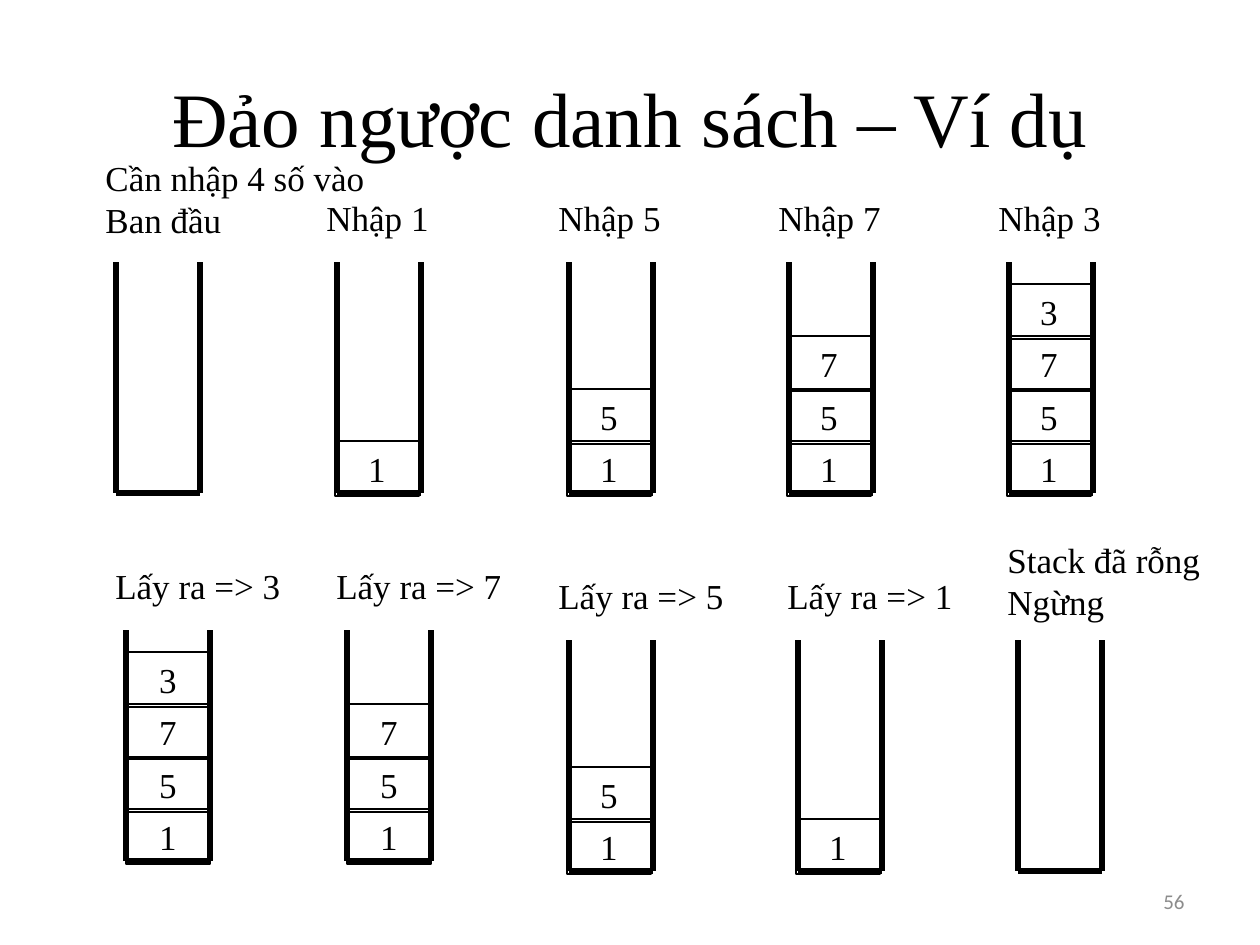
from dataclasses import dataclass

from lxml import etree
from pptx import Presentation
from pptx.dml.color import RGBColor
from pptx.enum.shapes import MSO_CONNECTOR, MSO_SHAPE
from pptx.enum.text import MSO_ANCHOR, PP_ALIGN
from pptx.oxml.ns import qn
from pptx.util import Pt

STRAIGHT = MSO_CONNECTOR.STRAIGHT
RECT = MSO_SHAPE.RECTANGLE
TOP, MIDDLE = MSO_ANCHOR.TOP, MSO_ANCHOR.MIDDLE
LEFT, CENTER, RIGHT = PP_ALIGN.LEFT, PP_ALIGN.CENTER, PP_ALIGN.RIGHT

PX = 914400 / 126
WALL_W, WALL_H = 84, 231
LABEL_DX, LABEL_H, LINE_H = -23, 55, 42
CELL_DY, CELL_H = 179, 55


@dataclass(frozen=True)
class Theme:
    ink: RGBColor = RGBColor(0, 0, 0)
    muted: RGBColor = RGBColor(0x8C, 0x8C, 0x8C)
    serif: str = "Times New Roman"
    sans: str = "Calibri"
    title: int = 44
    body: int = 20
    small: int = 12
    wall: float = 3
    border: float = 0.75


def emu(*lengths):
    return [round(n * PX) for n in lengths]


class StackSlide:
    """Draws stack diagrams on one slide in a single style."""

    def __init__(self, slide, theme):
        self.s = slide
        self.theme = theme

    def fill_text(self, sp, lines, size, align=LEFT, anchor=TOP, wrap=True, font=None, color=None):
        tf = sp.text_frame
        tf.word_wrap = wrap
        tf.vertical_anchor = anchor
        tf.text = "\n".join(lines)
        for p in tf.paragraphs:
            p.alignment = align
            p.font.size = Pt(size)
            p.font.name = font or self.theme.serif
            p.font.color.rgb = color or self.theme.ink

    def text(self, x, y, w, h, lines, size, **style):
        sp = self.s.shapes.add_textbox(*emu(x, y, w, h))
        self.fill_text(sp, lines, size, **style)

    def line(self, x1, y1, x2, y2):
        sp = self.s.shapes.add_connector(STRAIGHT, *emu(x1, y1, x2, y2))
        sp.line.color.rgb = self.theme.ink
        sp.line.width = Pt(self.theme.wall)
        etree.SubElement(sp._element.spPr, qn("a:effectLst"))

    def cell(self, x, y, value):
        sp = self.s.shapes.add_shape(RECT, *emu(x, y, WALL_W, CELL_H))
        sp.shadow.inherit = False
        sp.fill.background()
        sp.line.color.rgb = self.theme.ink
        sp.line.width = Pt(self.theme.border)
        self.fill_text(sp, [value], self.theme.body, align=CENTER)

    def stack(self, x, y, values, shift, label, label_w, label_dy):
        right, base = x + WALL_W, y + WALL_H
        self.line(x, base, right, base)
        self.line(right, base, right, y)
        self.line(x, base, x, y)
        lines = label.split("\n")
        label_h = LABEL_H + LINE_H * (len(lines) - 1)
        self.text(x + LABEL_DX, y + label_dy, label_w, label_h, lines,
                  self.theme.body, wrap=False)
        for i, value in enumerate(values):
            self.cell(x + shift, y + CELL_DY - 105 * i // 2, value)


STACKS = [
    (116, 262, "", 0, "Cần nhập 4 số vào\nBan đầu", 286, -112),
    (337, 262, "1", -2, "Nhập 1", 129, -72),
    (569, 262, "15", -2, "Nhập 5", 129, -72),
    (789, 262, "157", -2, "Nhập 7", 129, -72),
    (1009, 262, "1573", -2, "Nhập 3", 129, -72),
    (126, 630, "1573", 0, "Lấy ra => 3", 192, -72),
    (347, 630, "157", 0, "Lấy ra => 7", 192, -72),
    (569, 640, "15", -2, "Lấy ra => 5", 192, -72),
    (798, 640, "1", -2, "Lấy ra => 1", 192, -72),
    (1018, 640, "", 0, "Stack đã rỗng\nNgừng", 219, -108),
]


def main():
    prs = Presentation()
    prs.slide_width, prs.slide_height = emu(1260, 945)
    theme = Theme()
    page = StackSlide(prs.slides.add_slide(prs.slide_layouts[6]), theme)
    page.text(63, 38, 1134, 157, ["Đảo ngược danh sách – Ví dụ"], theme.title,
              align=CENTER, anchor=MIDDLE)
    for stack in STACKS:
        page.stack(*stack)
    page.text(903, 876, 294, 50, ["56"], theme.small, align=RIGHT, anchor=MIDDLE,
              font=theme.sans, color=theme.muted)
    prs.save("out.pptx")


if __name__ == "__main__":
    main()
